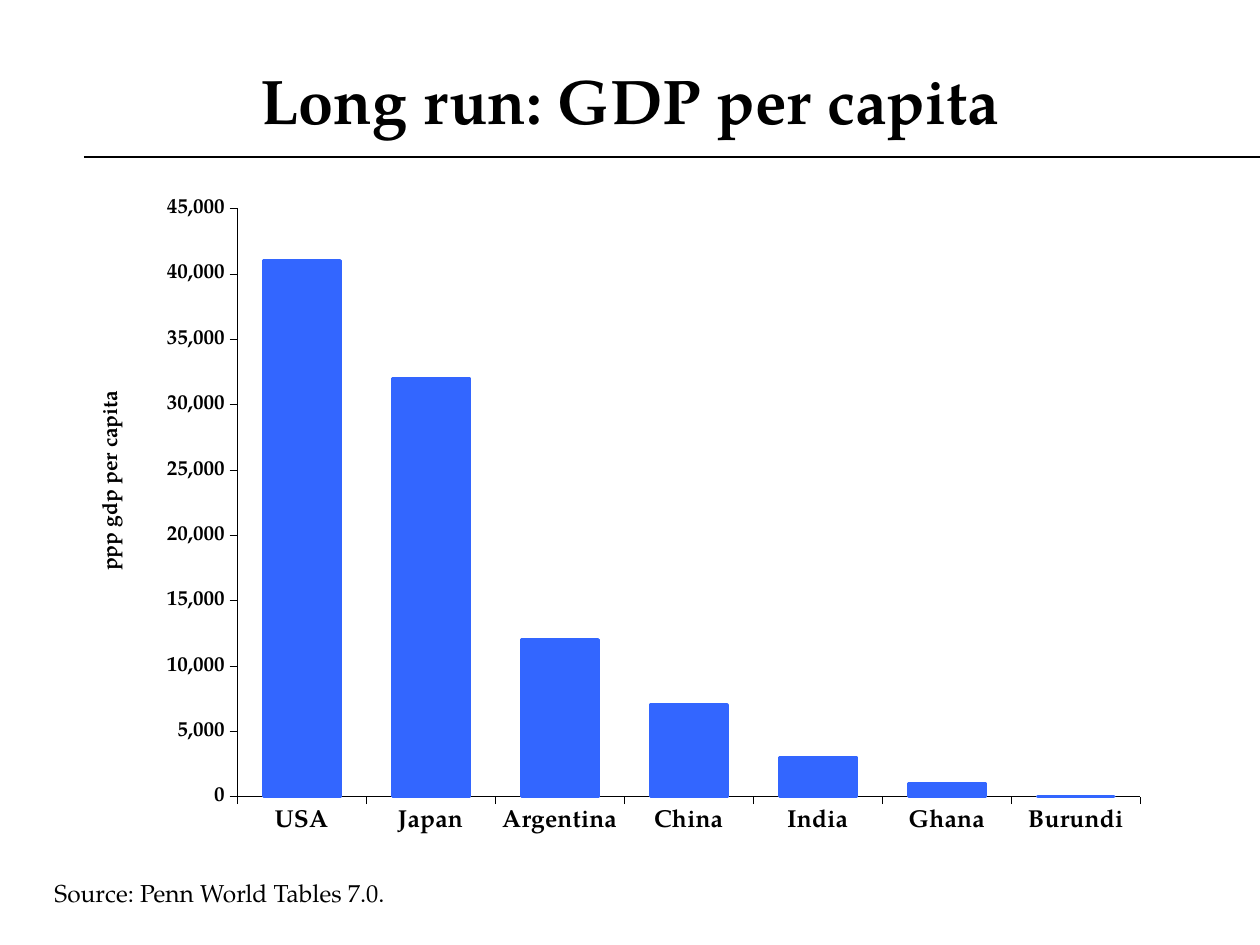
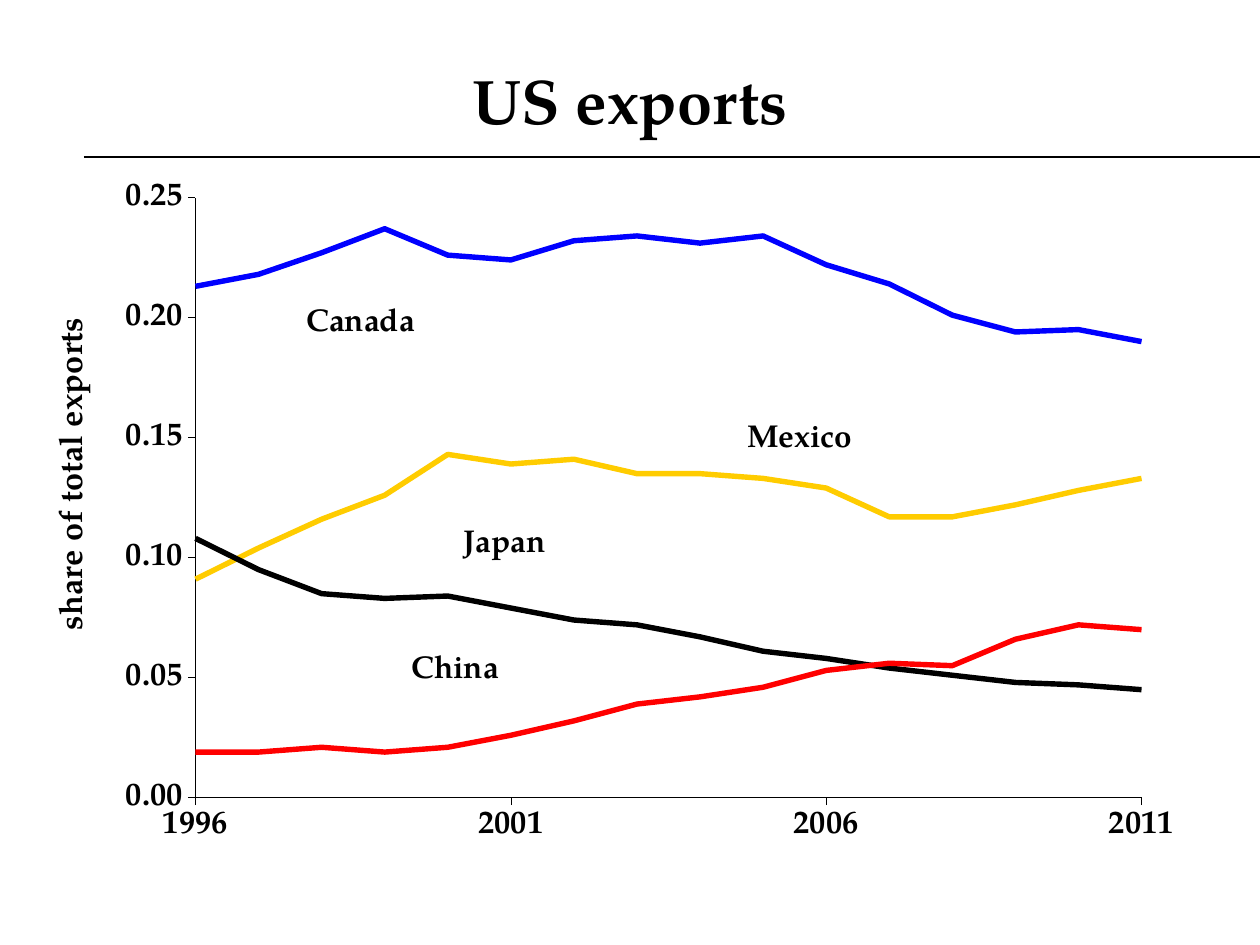
from dataclasses import dataclass
from typing import Optional

from lxml import etree
from pptx import Presentation
from pptx import util as u
from pptx.chart import axis as ax
from pptx.chart import chart as ch
from pptx.chart import data as cd
from pptx.dml.color import RGBColor
from pptx.enum import chart as ce
from pptx.enum import shapes, text
from pptx.oxml import ns
from pptx.slide import Slide

FONT = "TeX Gyre Pagella"
BLACK = RGBColor(0x00, 0x00, 0x00)
BAR_BLUE = RGBColor(0x33, 0x66, 0xFF)
BLUE = RGBColor(0x00, 0x00, 0xFF)
RED = RGBColor(0xFF, 0x00, 0x00)
GOLD = RGBColor(0xFF, 0xCC, 0x00)

SLIDE_WIDTH, SLIDE_HEIGHT = 1260, 945
PX_PER_INCH = 126


@dataclass(frozen=True)
class Box:
    left: int
    top: int
    width: int
    height: int


@dataclass(frozen=True)
class Label:
    words: str
    box: Box
    size: int
    bold: bool = True
    wrap: bool = True
    align: Optional[text.PP_ALIGN] = None
    anchor: text.MSO_ANCHOR = text.MSO_ANCHOR.TOP


@dataclass(frozen=True)
class AxisStyle:
    size: float
    number_format: str
    maximum: float
    step: float
    minimum: float = 0


@dataclass(frozen=True)
class AxisCaption:
    words: str
    size: float
    x: float
    y: float


@dataclass(frozen=True)
class Country:
    name: str
    color: RGBColor
    label_left: int
    label_top: int
    shares: tuple[float, ...]


TITLE_BOX = Box(63, 41, 1134, 116)
RULE_LEFT, RULE_Y = 84, 157

GDP_BOX = Box(74, 168, 1087, 697)
GDP_PLOT = (0.15, 0.058, 0.831, 0.844)
GDP_PER_CAPITA = {
    "USA": 41000,
    "Japan": 32000,
    "Argentina": 12000,
    "China": 7000,
    "India": 3000,
    "Ghana": 1000,
    "Burundi": 0,
}

EXPORTS_BOX = Box(39, 147, 1151, 756)
EXPORTS_PLOT = (0.136, 0.067, 0.822, 0.794)
FIRST_YEAR, LAST_YEAR = 1996, 2011
PARTNERS = (
    Country("Canada", BLUE, 294, 294,
            (0.213, 0.218, 0.227, 0.237, 0.226, 0.224, 0.232, 0.234,
             0.231, 0.234, 0.222, 0.214, 0.201, 0.194, 0.195, 0.19)),
    Country("China", RED, 399, 641,
            (0.019, 0.019, 0.021, 0.019, 0.021, 0.026, 0.032, 0.039,
             0.042, 0.046, 0.053, 0.056, 0.055, 0.066, 0.072, 0.07)),
    Country("Japan", BLACK, 451, 515,
            (0.108, 0.095, 0.085, 0.083, 0.084, 0.079, 0.074, 0.072,
             0.067, 0.061, 0.058, 0.054, 0.051, 0.048, 0.047, 0.045)),
    Country("Mexico", GOLD, 735, 410,
            (0.091, 0.104, 0.116, 0.126, 0.143, 0.139, 0.141, 0.135,
             0.135, 0.133, 0.129, 0.117, 0.117, 0.122, 0.128, 0.133)),
)


def px(length: int) -> u.Emu:
    return u.Emu(round(length * u.Inches(1) / PX_PER_INCH))


def place(box: Box) -> tuple[u.Emu, ...]:
    return px(box.left), px(box.top), px(box.width), px(box.height)


def style_font(font, size: float, bold: bool = True) -> None:
    font.name = FONT
    font.size = u.Pt(size)
    font.bold = bold
    font.color.rgb = BLACK


def add_label(slide: Slide, label: Label) -> None:
    frame = slide.shapes.add_textbox(*place(label.box)).text_frame
    frame.word_wrap = label.wrap
    frame.vertical_anchor = label.anchor
    paragraph = frame.paragraphs[0]
    paragraph.text = label.words
    paragraph.alignment = label.align
    style_font(paragraph.font, label.size, label.bold)


def add_titled_slide(deck, title: str) -> Slide:
    slide = deck.slides.add_slide(deck.slide_layouts[6])
    rule = slide.shapes.add_connector(
        shapes.MSO_CONNECTOR.STRAIGHT,
        px(RULE_LEFT), px(RULE_Y), px(SLIDE_WIDTH), px(RULE_Y))
    rule.line.color.rgb = BLACK
    rule.line.width = u.Pt(0.75)
    etree.SubElement(rule.element.spPr, ns.qn("a:effectLst"))
    add_label(slide, Label(title, TITLE_BOX, 36, align=text.PP_ALIGN.CENTER,
                           anchor=text.MSO_ANCHOR.MIDDLE))
    return slide


def set_layout(parent, index: int, **settings: object) -> None:
    for old in parent.findall(ns.qn("c:layout")):
        parent.remove(old)
    layout = etree.Element(ns.qn("c:layout"))
    manual = etree.SubElement(layout, ns.qn("c:manualLayout"))
    for tag, value in settings.items():
        etree.SubElement(manual, ns.qn(f"c:{tag}")).set("val", str(value))
    parent.insert(index, layout)


def style_axis(axis: ax._BaseAxis, size: float) -> None:
    axis.has_major_gridlines = False
    axis.major_tick_mark = ce.XL_TICK_MARK.OUTSIDE
    axis.minor_tick_mark = ce.XL_TICK_MARK.NONE
    axis.format.line.color.rgb = BLACK
    axis.format.line.width = u.Pt(0.25)
    style_font(axis.tick_labels.font, size)


def style_value_axis(axis: ax.ValueAxis, style: AxisStyle) -> None:
    style_axis(axis, style.size)
    axis.minimum_scale = style.minimum
    axis.maximum_scale = style.maximum
    axis.major_unit = style.step
    axis.tick_labels.number_format = style.number_format
    axis.tick_labels.number_format_is_linked = False


def caption_axis(axis: ax.ValueAxis, caption: AxisCaption) -> None:
    frame = axis.axis_title.text_frame
    frame.text = caption.words
    style_font(frame.paragraphs[0].font, caption.size)
    title = axis.axis_title.element
    title.xpath(".//a:bodyPr")[0].set("rot", "-5400000")
    set_layout(title, 1, xMode="edge", yMode="edge",
               x=caption.x, y=caption.y)


def add_plain_chart(slide: Slide, kind: ce.XL_CHART_TYPE, box: Box, data,
                    plot_area: tuple[float, ...], size: float,
                    value_style: AxisStyle, caption: AxisCaption) -> ch.Chart:
    chart = slide.shapes.add_chart(kind, *place(box), data).chart
    chart.has_title = False
    chart.has_legend = False
    style_font(chart.font, size)
    chart.plots[0].vary_by_categories = False
    x, y, w, h = plot_area
    set_layout(chart.element.xpath("c:chart/c:plotArea")[0], 0,
               layoutTarget="inner", xMode="edge", yMode="edge",
               x=x, y=y, w=w, h=h)
    style_value_axis(chart.value_axis, value_style)
    caption_axis(chart.value_axis, caption)
    return chart


def build_gdp_slide(deck) -> None:
    slide = add_titled_slide(deck, "Long run: GDP per capita")
    data = cd.CategoryChartData(number_format="#,##0")
    data.categories = GDP_PER_CAPITA.keys()
    data.add_series("GDP per capita", GDP_PER_CAPITA.values())
    chart = add_plain_chart(
        slide, ce.XL_CHART_TYPE.COLUMN_CLUSTERED, GDP_BOX, data, GDP_PLOT, 12,
        AxisStyle(12, "#,##0", 45000, 5000),
        AxisCaption("ppp gdp per capita", 12, 0.02, 0.314))
    style_axis(chart.category_axis, 14)
    chart.plots[0].gap_width = 69
    bars = chart.plots[0].series[0]
    bars.format.fill.solid()
    bars.format.fill.fore_color.rgb = BAR_BLUE
    bars.format.line.color.rgb = BAR_BLUE
    bars.format.line.width = u.Pt(2.05)
    add_label(slide, Label("Source: Penn World Tables 7.0.",
                           Box(42, 872, 373, 43), 14, bold=False, wrap=False))


def build_exports_slide(deck) -> None:
    slide = add_titled_slide(deck, "US exports")
    data = cd.XyChartData(number_format="General")
    for partner in PARTNERS:
        line = data.add_series(partner.name)
        for year, share in enumerate(partner.shares, FIRST_YEAR):
            line.add_data_point(year, share)
    chart = add_plain_chart(
        slide, ce.XL_CHART_TYPE.XY_SCATTER_LINES_NO_MARKERS, EXPORTS_BOX,
        data, EXPORTS_PLOT, 18.5, AxisStyle(18.5, "#,##0.00", 0.25, 0.05),
        AxisCaption("share of total exports", 18.5, 0.009, 0.218))
    style_value_axis(chart.category_axis,
                     AxisStyle(18.5, "General", LAST_YEAR, 5, FIRST_YEAR))
    chart.category_axis.crosses = ce.XL_AXIS_CROSSES.MINIMUM
    for partner, line in zip(PARTNERS, chart.plots[0].series):
        line.format.line.color.rgb = partner.color
        line.format.line.width = u.Pt(3.08)
        add_label(slide, Label(
            partner.name,
            Box(partner.label_left, partner.label_top, 210, 50), 18))


def main() -> None:
    deck = Presentation()
    deck.slide_width = px(SLIDE_WIDTH)
    deck.slide_height = px(SLIDE_HEIGHT)
    build_gdp_slide(deck)
    build_exports_slide(deck)
    deck.save("out.pptx")


if __name__ == "__main__":
    main()
